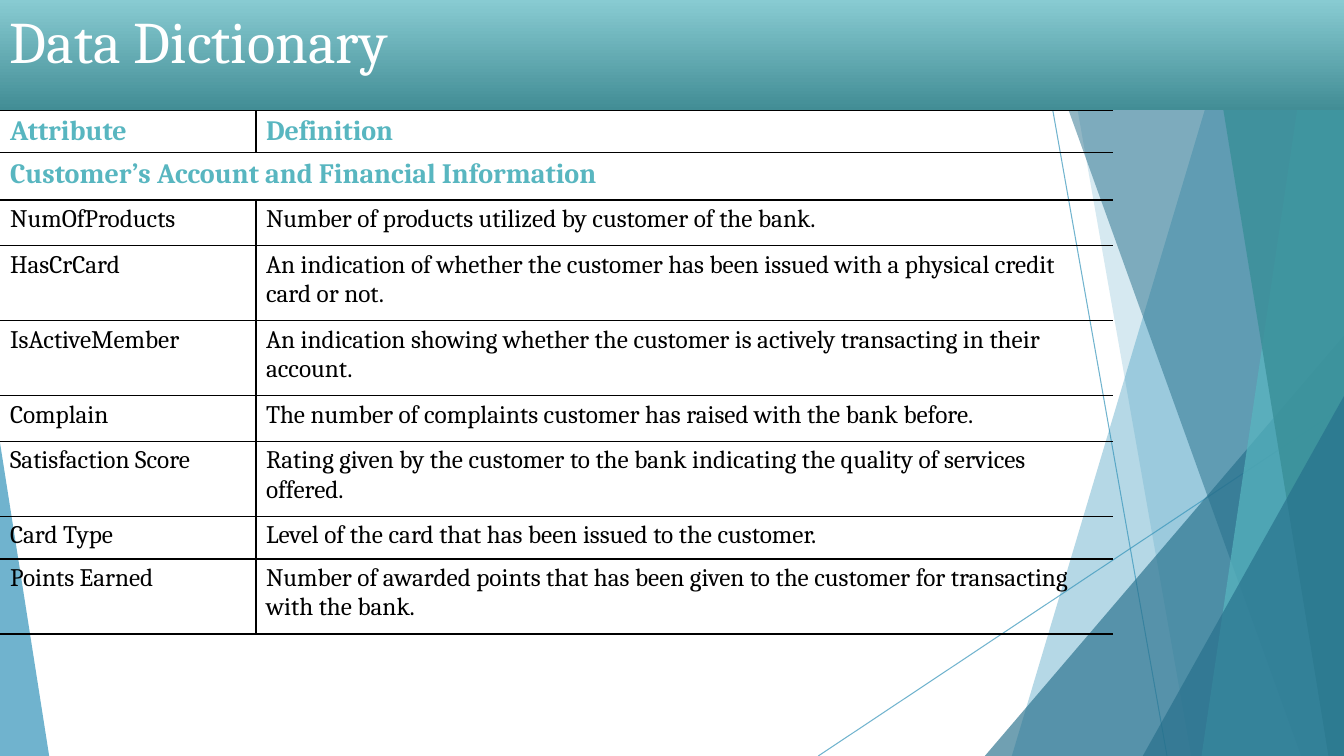
from pptx import Presentation
from pptx.dml.color import RGBColor
from pptx.enum.shapes import MSO_CONNECTOR, MSO_SHAPE
from pptx.enum.text import MSO_ANCHOR, PP_ALIGN
from pptx.oxml.ns import qn
from pptx.util import Cm, Pt
from lxml.etree import SubElement

BLACK = RGBColor(0x00, 0x00, 0x00)
WHITE = RGBColor(0xFF, 0xFF, 0xFF)
BLUE = RGBColor(0x34, 0x94, 0xBA)
DARK_BLUE = RGBColor(0x26, 0x6F, 0x8B)
TEAL = RGBColor(0x58, 0xB6, 0xC0)
DARK_TEAL = RGBColor(0x39, 0x8F, 0x98)
TITLE_TOP = RGBColor(0x88, 0xCB, 0xD2)
TITLE_BOTTOM = RGBColor(0x42, 0x8D, 0x95)
FONT = "Cambria"
WIDTH, HEIGHT = 33.87, 19.05


def set_opacity(properties, percent):
    color = next(properties.iter(qn("a:srgbClr")))
    SubElement(color, qn("a:alpha"), val=str(percent * 1000))


def set_border(cell, side, visible):
    """Draw or hide one cell border; side is lnL, lnR, lnT or lnB."""
    line = SubElement(cell._tc.get_or_add_tcPr(), qn("a:" + side), w=str(Pt(1)))
    if visible:
        fill = SubElement(line, qn("a:solidFill"))
        SubElement(fill, qn("a:srgbClr"), val=str(BLACK))
    else:
        SubElement(line, qn("a:noFill"))


presentation = Presentation()
presentation.slide_width, presentation.slide_height = Cm(WIDTH), Cm(HEIGHT)
slide = presentation.slides.add_slide(presentation.slide_layouts[6])
shapes = slide.shapes

# Thin background lines
for ends in [(26.04, 0, 29.41, HEIGHT), (WIDTH, 10.24, 20.62, HEIGHT)]:
    connector = shapes.add_connector(MSO_CONNECTOR.STRAIGHT, *map(Cm, ends))
    connector.line.color.rgb = BLUE
    connector.line.width = Pt(0.75)
    properties = connector._element.spPr
    set_opacity(properties, 70)
    SubElement(properties, qn("a:effectLst"))

# Background facets: a band holds its left edge (top x, bottom x) and reaches
# the right side of the slide; a triangle holds left, top, width and apex.
facets = [
    ("band", (31.19, 25.5), BLUE, 36),
    ("band", (26.67, 30.02), BLUE, 20),
    ("triangle", (24.82, 8.46, 9.05, 1), DARK_BLUE, 66),
    ("band", (25.93, 32.79), DARK_BLUE, 50),
    ("band", (33.1, 30.28), TEAL, 70),
    ("band", (30.38, 33.48), DARK_TEAL, 80),
    ("triangle", (28.8, 9.98, 5.07, 1), DARK_BLUE, 66),
    ("triangle", (0, 11.15, 1.24, 0), BLUE, 70),
]
for kind, geometry, color, opacity in facets:
    if kind == "band":
        top_x, bottom_x = geometry
        builder = shapes.build_freeform(Cm(top_x), 0)
        corners = [(WIDTH, 0), (WIDTH, HEIGHT), (bottom_x, HEIGHT)]
        builder.add_line_segments([(Cm(x), Cm(y)) for x, y in corners])
        shape = builder.convert_to_shape()
    else:
        left, top, width, apex = geometry
        shape = shapes.add_shape(MSO_SHAPE.ISOSCELES_TRIANGLE, Cm(left), Cm(top),
                                 Cm(width), Cm(HEIGHT - top))
        shape.adjustments[0] = apex
    shape.shadow.inherit = False
    shape.line.fill.background()
    shape.fill.solid()
    shape.fill.fore_color.rgb = color
    set_opacity(shape._element.spPr, opacity)

# Attribute table
rows = [
    (1.08, "Attribute", "Definition"),
    (1.19, "Customer’s Account and Financial Information", ""),
    (1.15, "NumOfProducts", "Number of products utilized by customer of the bank."),
    (1.89, "HasCrCard", "An indication of whether the customer has been issued with "
     "a physical credit card or not."),
    (1.89, "IsActiveMember", "An indication showing whether the customer is actively "
     "transacting in their account."),
    (1.15, "Complain", "The number of complaints customer has raised with the bank before."),
    (1.89, "Satisfaction Score", "Rating given by the customer to the bank indicating "
     "the quality of services offered."),
    (1.08, "Card Type", "Level of the card that has been issued to the customer."),
    (1.89, "Points Earned", "Number of awarded points that has been given to the "
     "customer for transacting with the bank."),
]
SECTION_ROW = 1
column_widths = [6.45, 21.59]
table = shapes.add_table(len(rows), 2, 0, Cm(2.77), Cm(sum(column_widths)),
                         Cm(sum(row[0] for row in rows))).table
table.first_row = table.horz_banding = False
for column, width in zip(table.columns, column_widths):
    column.width = Cm(width)
table.cell(SECTION_ROW, 0).merge(table.cell(SECTION_ROW, 1))

for row_index, (height, *texts) in enumerate(rows):
    table.rows[row_index].height = Cm(height)
    heading = row_index <= SECTION_ROW
    divided = row_index != SECTION_ROW
    for column_index, text in enumerate(texts):
        cell = table.cell(row_index, column_index)
        set_border(cell, "lnL", divided and column_index == 1)
        set_border(cell, "lnR", divided and column_index == 0)
        set_border(cell, "lnT", True)
        set_border(cell, "lnB", True)
        cell.fill.background()
        if cell.is_spanned:
            continue
        cell.text_frame.text = text
        font = cell.text_frame.paragraphs[0].runs[0].font
        font.name = FONT
        font.size = Pt(20 if heading else 18)
        font.bold = heading
        font.color.rgb = TEAL if heading else BLACK

# Title bar
title = shapes.add_shape(MSO_SHAPE.RECTANGLE, 0, 0, Cm(WIDTH), Cm(2.77))
title.shadow.inherit = False
title.line.fill.background()
title.fill.gradient()
title.fill.gradient_angle = 270
for stop, color in zip(title.fill.gradient_stops, [TITLE_TOP, TITLE_BOTTOM]):
    stop.color.rgb = color
title.text_frame.text = "Data Dictionary"
title.text_frame.vertical_anchor = MSO_ANCHOR.TOP
paragraph = title.text_frame.paragraphs[0]
paragraph.alignment = PP_ALIGN.LEFT
font = paragraph.runs[0].font
font.name = FONT
font.size = Pt(42)
font.color.rgb = WHITE

presentation.save("out.pptx")
